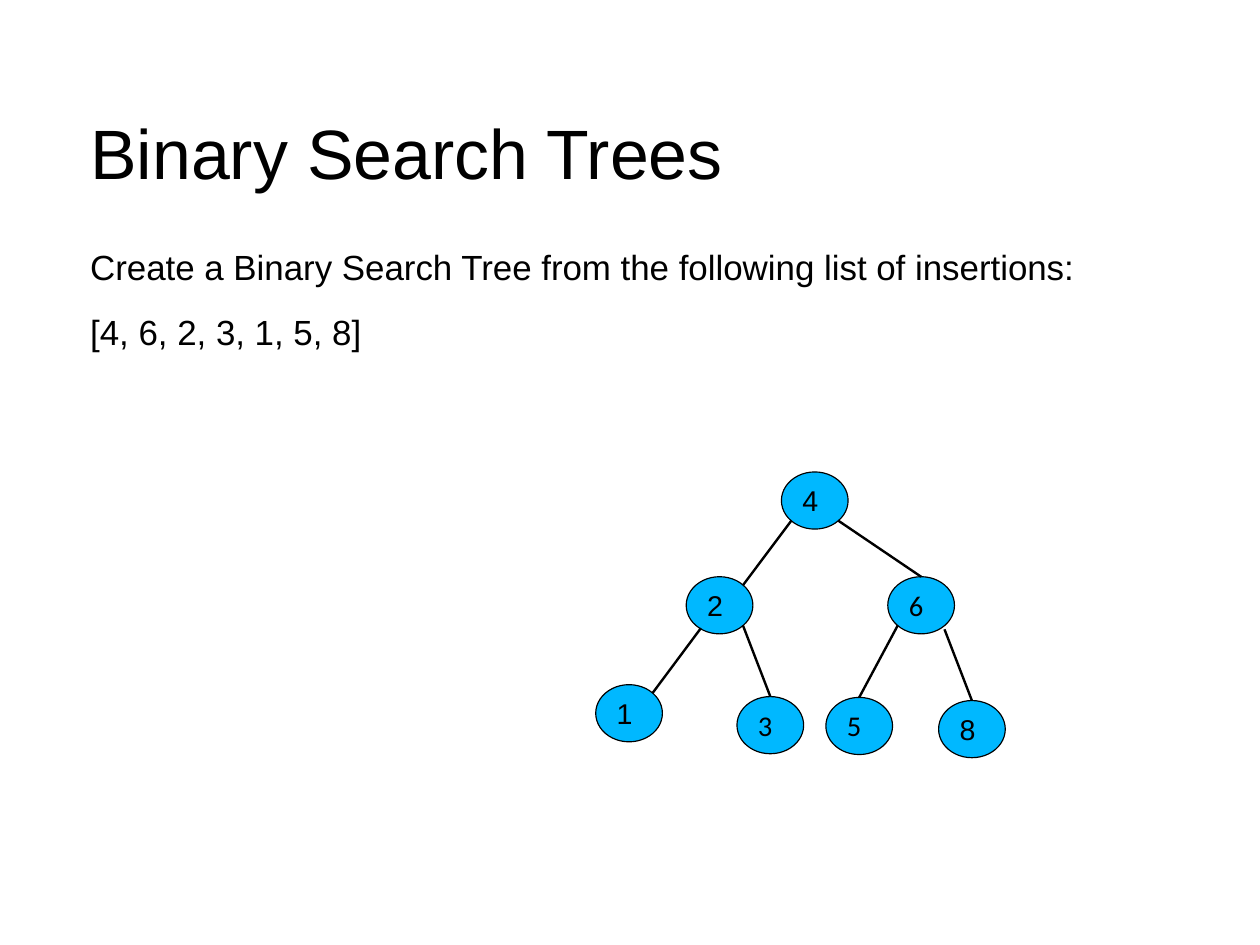
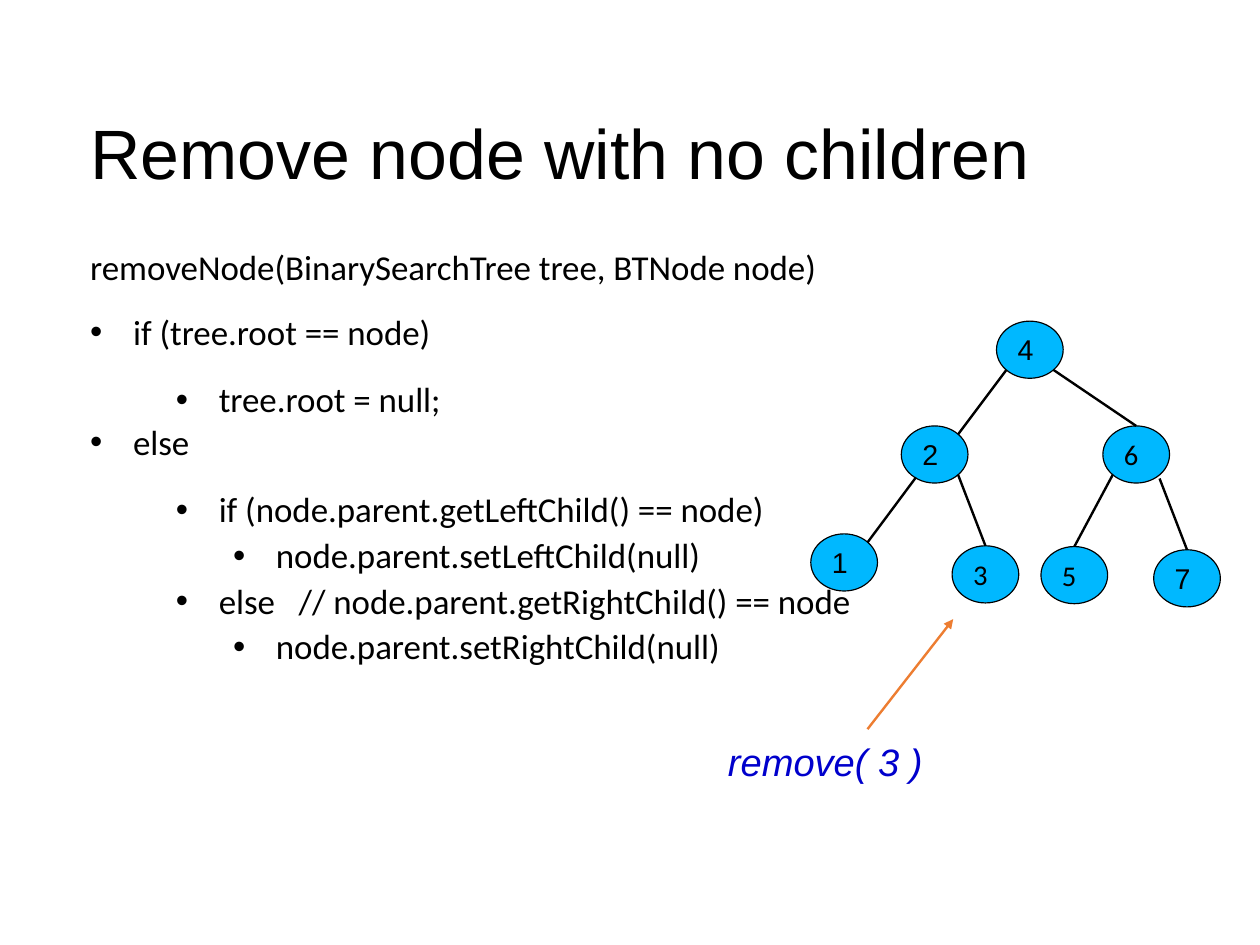
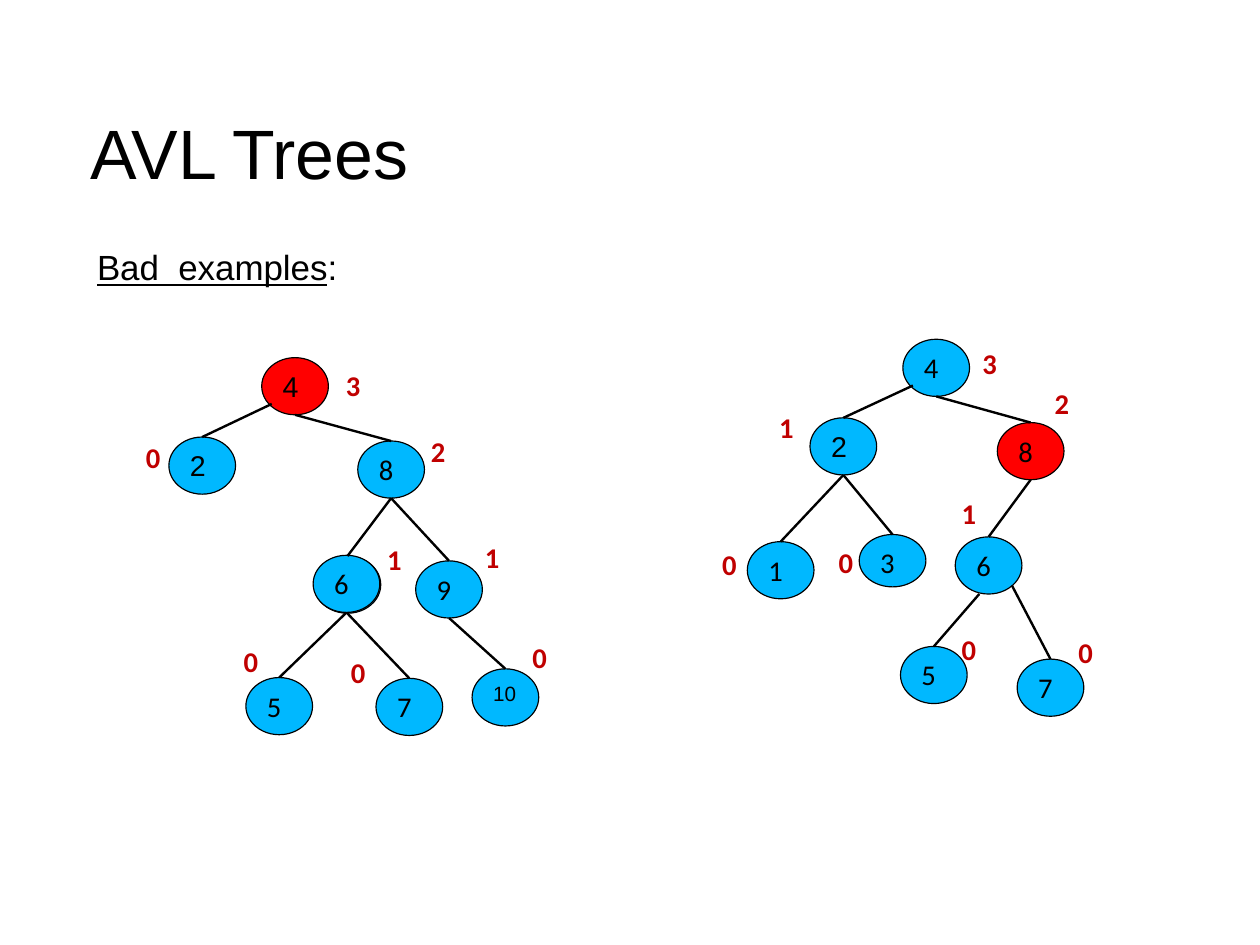
from dataclasses import dataclass

from lxml import etree
from pptx import Presentation
from pptx.dml.color import RGBColor
from pptx.enum.shapes import MSO_CONNECTOR, MSO_SHAPE
from pptx.enum.text import MSO_ANCHOR, PP_ALIGN
from pptx.oxml.ns import qn
from pptx.util import Pt

OVAL = MSO_SHAPE.OVAL
STRAIGHT = MSO_CONNECTOR.STRAIGHT
TOP, MIDDLE = MSO_ANCHOR.TOP, MSO_ANCHOR.MIDDLE
LEFT = PP_ALIGN.LEFT
ARIAL, CALIBRI = "Arial", "Calibri"


class Theme:
    """Colours, type and common sizes of the deck (lengths in points)."""
    slide_size = (793.75, 595.25)
    ink = RGBColor(0, 0, 0)
    node = RGBColor(0x00, 0xB8, 0xFF)
    alert = RGBColor(0xFF, 0, 0)
    height = RGBColor(0xC0, 0, 0)
    call = RGBColor(0, 0, 0xCC)
    arrow = RGBColor(0xED, 0x7D, 0x31)
    title_type = {"name": ARIAL, "size": Pt(44)}
    body_type = {"name": ARIAL, "size": Pt(22)}
    code_type = {"name": CALIBRI, "size": Pt(22)}
    call_type = {"name": ARIAL, "size": Pt(24), "italic": True}
    height_type = {"name": CALIBRI, "size": Pt(18), "bold": True}
    title_box = (56.8, 44.5, 666, 98.5)
    body_box = (56.8, 153.4, 697, 378.5)
    node_width = 42
    outline, edge = 0.75, 1.5
    # Paragraph spacing and left indent of each body level
    levels = (
        ({"space_after": Pt(14.2)}, 27),
        ({"space_before": Pt(5), "line_spacing": 0.9}, 81),
        ({"space_before": Pt(5), "line_spacing": 0.9}, 117),
    )
    hanging = 27


# Places on a node where an edge can start or end, as shares of its size
SITES = {
    "top": (0.5, 0),
    "bottom": (0.5, 1),
    "top right": (0.85, 0.15),
    "bottom left": (0.15, 0.85),
    "bottom right": (0.85, 0.85),
    "side left": (0.15, 0.81),
    "low left": (0.22, 0.9),
    "under left": (0.36, 1),
    "under right": (0.85, 0.92),
}


@dataclass
class Node:
    """A tree node; x and y count from the root, height_at from the node."""
    label: str
    x: float
    y: float
    font: str = CALIBRI
    height_text: str = ""
    height_at: tuple = (0, 0)
    fill: RGBColor = Theme.node
    size: float = 18
    tall: float = 36


def apply(target, values):
    for name, value in values.items():
        setattr(target, name, value)


class TreeDeck:
    def __init__(self, theme):
        self.theme = theme
        self.deck = Presentation()
        self.deck.slide_width, self.deck.slide_height = map(Pt, theme.slide_size)
        self.page = None

    def new_page(self, title):
        self.page = self.deck.slides.add_slide(self.deck.slide_layouts[6])
        frame = self.text_box(self.theme.title_box, MIDDLE, (0, 3, 0, 0))
        self.span(frame.paragraphs[0], title, self.theme.title_type)

    def text_box(self, place, anchor=TOP, insets=(7.2, 3.6, 7.2, 3.6), wrap=True):
        box = self.page.shapes.add_textbox(*map(Pt, place))
        self.set_frame(box.text_frame, anchor, insets, wrap)
        return box.text_frame

    def set_frame(self, frame, anchor, insets, wrap):
        sides = ("margin_left", "margin_top", "margin_right", "margin_bottom")
        apply(frame, dict(zip(sides, map(Pt, insets))))
        apply(frame, {"vertical_anchor": anchor, "word_wrap": wrap})

    def span(self, para, text, type_values, colour=None):
        span = para.add_run()
        span.text = text
        apply(span.font, type_values)
        span.font.color.rgb = colour or self.theme.ink
        return span

    def body(self, lines, type_values):
        """Lines are (level, text); level None has no bullet."""
        frame = self.text_box(self.theme.body_box, insets=(0, 1.5, 0, 0))
        for index, (level, text) in enumerate(lines):
            para = frame.add_paragraph() if index else frame.paragraphs[0]
            spacing, indent = self.theme.levels[level or 0]
            apply(para, spacing)
            if level is not None:
                para.level = level
                self.bullet(para, indent)
            self.span(para, text, type_values)
        return frame

    def bullet(self, para, indent):
        properties = para._p.get_or_add_pPr()
        properties.set("marL", str(Pt(indent)))
        properties.set("indent", str(-Pt(self.theme.hanging)))
        etree.SubElement(properties, qn("a:buFont")).set("typeface", ARIAL)
        etree.SubElement(properties, qn("a:buChar")).set("char", "•")

    def note(self, place, text, type_values, colour, wrap=True):
        frame = self.text_box(place, wrap=wrap)
        self.span(frame.paragraphs[0], text, type_values, colour)

    def line(self, start, end, colour=None, arrow=False):
        points = map(Pt, (*start, *end))
        line = self.page.shapes.add_connector(STRAIGHT, *points)
        line.line.width = Pt(self.theme.edge)
        line.line.color.rgb = colour or self.theme.ink
        if arrow:
            tail = etree.SubElement(line.line._get_or_add_ln(), qn("a:tailEnd"))
            tail.set("type", "triangle")
        etree.SubElement(line._element.spPr, qn("a:effectLst"))

    def node(self, node, x, y):
        place = (x, y, self.theme.node_width, node.tall)
        oval = self.page.shapes.add_shape(OVAL, *map(Pt, place))
        oval.shadow.inherit = False
        oval.fill.solid()
        oval.fill.fore_color.rgb = node.fill
        oval.line.color.rgb = self.theme.ink
        oval.line.width = Pt(self.theme.outline)
        self.set_frame(oval.text_frame, TOP, (7.2, 3.6, 7.2, 3.6), True)
        para = oval.text_frame.paragraphs[0]
        apply(para, {"alignment": LEFT, "line_spacing": 0.93})
        if node.label:
            self.span(para, node.label, {"name": node.font, "size": Pt(node.size)})

    def tree(self, root, nodes, edges):
        """Edges are (parent, site, child, site), with nodes by key."""
        root_x, root_y = root

        def site_point(key, site):
            node, (across, down) = nodes[key], SITES[site]
            return (root_x + node.x + across * self.theme.node_width,
                    root_y + node.y + down * node.tall)

        for node in nodes.values():
            self.node(node, root_x + node.x, root_y + node.y)
        for parent, start, child, end in edges:
            self.line(site_point(parent, start), site_point(child, end))
        for node in nodes.values():
            if node.height_text:
                shift_x, shift_y = node.height_at
                place = (root_x + node.x + shift_x, root_y + node.y + shift_y, 24.5, 27)
                self.note(place, node.height_text, self.theme.height_type,
                          self.theme.height, wrap=False)


def by_label(*nodes):
    return {node.label or "behind": node for node in nodes}


def search_tree(last):
    """The seven-node tree of the first two slides; its last leaf varies."""
    nodes = by_label(
        Node("4", 0, 0, ARIAL),
        Node("2", -60, 66, ARIAL),
        Node("6", 67, 66),
        Node("1", -117, 134, ARIAL),
        Node("3", -28, 141.5),
        Node("5", 28, 142),
        Node(last, 99, 144, ARIAL),
    )
    edges = (
        ("4", "bottom left", "2", "top right"),
        ("4", "bottom right", "6", "top"),
        ("2", "low left", "1", "top right"),
        ("2", "bottom right", "3", "top"),
        ("6", "bottom left", "5", "top"),
        ("6", "under right", last, "top"),
    )
    return nodes, edges


def down(*pairs):
    """Edges from the bottom of a parent to the top of a child."""
    return tuple((parent, "bottom", child, "top") for parent, child in pairs)


def main():
    theme = Theme()
    deck = TreeDeck(theme)

    # Building a tree
    deck.new_page("Binary Search Trees")
    deck.body([
        (None, "Create a Binary Search Tree from the following list of insertions:"),
        (None, "[4, 6, 2, 3, 1, 5, 8]"),
    ], theme.body_type)
    deck.tree((492.3, 297.3), *search_tree("8"))

    # Removing a leaf
    deck.new_page("Remove node with no children")
    deck.body([
        (None, "removeNode(BinarySearchTree tree, BTNode node)"),
        (0, "if (tree.root == node)"),
        (1, "tree.root = null;"),
        (0, "else"),
        (1, "if (node.parent.getLeftChild() == node)"),
        (2, "node.parent.setLeftChild(null)"),
        (1, "else   // node.parent.getRightChild() == node"),
        (2, "node.parent.setRightChild(null)"),
    ], theme.code_type)
    deck.tree((627.8, 202.3), *search_tree("7"))
    deck.line((546.5, 459.3), (600.5, 390), theme.arrow, arrow=True)
    deck.note((451.5, 461.5, 160.5, 34.5), "remove( 3 )", theme.call_type, theme.call)

    # Unbalanced trees, with the height beside each node
    deck.new_page("AVL Trees")
    frame = deck.body([(None, "Bad  examples")], theme.body_type)
    para = frame.paragraphs[0]
    para._p.get_or_add_pPr().set("marL", str(Pt(4.3)))
    para.runs[0].font.underline = True
    deck.span(para, ":", theme.body_type)

    right_nodes = by_label(
        Node("4", 0, 0, CALIBRI, "3", (43, 0.5)),
        Node("2", -58.5, 49.5, ARIAL, "1", (-26.5, -8.5)),
        Node("1", -98, 127.5, CALIBRI, "0", (-23, 0)),
        Node("3", -27.5, 123, CALIBRI, "0", (-20, 3), tall=33),
        Node("6", 33, 124.5, CALIBRI, "1", (-3, -29.5)),
        Node("5", -1.5, 193.5, CALIBRI, "0", (31.5, -13)),
        Node("8", 59.5, 52.5, CALIBRI, "2", (29, -26.5), theme.alert),
        Node("7", 72, 201.5, CALIBRI, "0", (31.5, -19)),
    )
    right_edges = down(("4", "8"), ("2", "1"), ("2", "3"), ("8", "6")) + (
        ("4", "side left", "2", "top"),
        ("6", "under left", "5", "top"),
        ("6", "bottom right", "7", "top"),
    )
    deck.tree((568.8, 213.7), right_nodes, right_edges)

    left_nodes = by_label(
        Node("4", 0, 0, ARIAL, "3", (46, 3), theme.alert),
        Node("9", 97, 128, CALIBRI, "1", (36.5, -16.5)),
        Node("10", 132.5, 196, ARIAL, "0", (31, -21.5), size=13),
        Node("2", -58.5, 50, ARIAL, "0", (-21.5, -2)),
        Node("", 33, 125),
        Node("8", 60.5, 52.5, CALIBRI, "2", (39, -8)),
        Node("7", 72, 202, CALIBRI, "0", (-23, -18)),
        Node("6", 32.4, 124.5, CALIBRI, "1", (39.5, -12)),
        Node("5", -10, 201.5, CALIBRI, "0", (-8.5, -25)),
    )
    left_edges = down(("4", "8"), ("8", "9"), ("9", "10"), ("8", "behind"),
                      ("6", "7"), ("6", "5")) + (("4", "side left", "2", "top"),)
    deck.tree((164.9, 225.3), left_nodes, left_edges)

    deck.deck.save("out.pptx")


if __name__ == "__main__":
    main()
